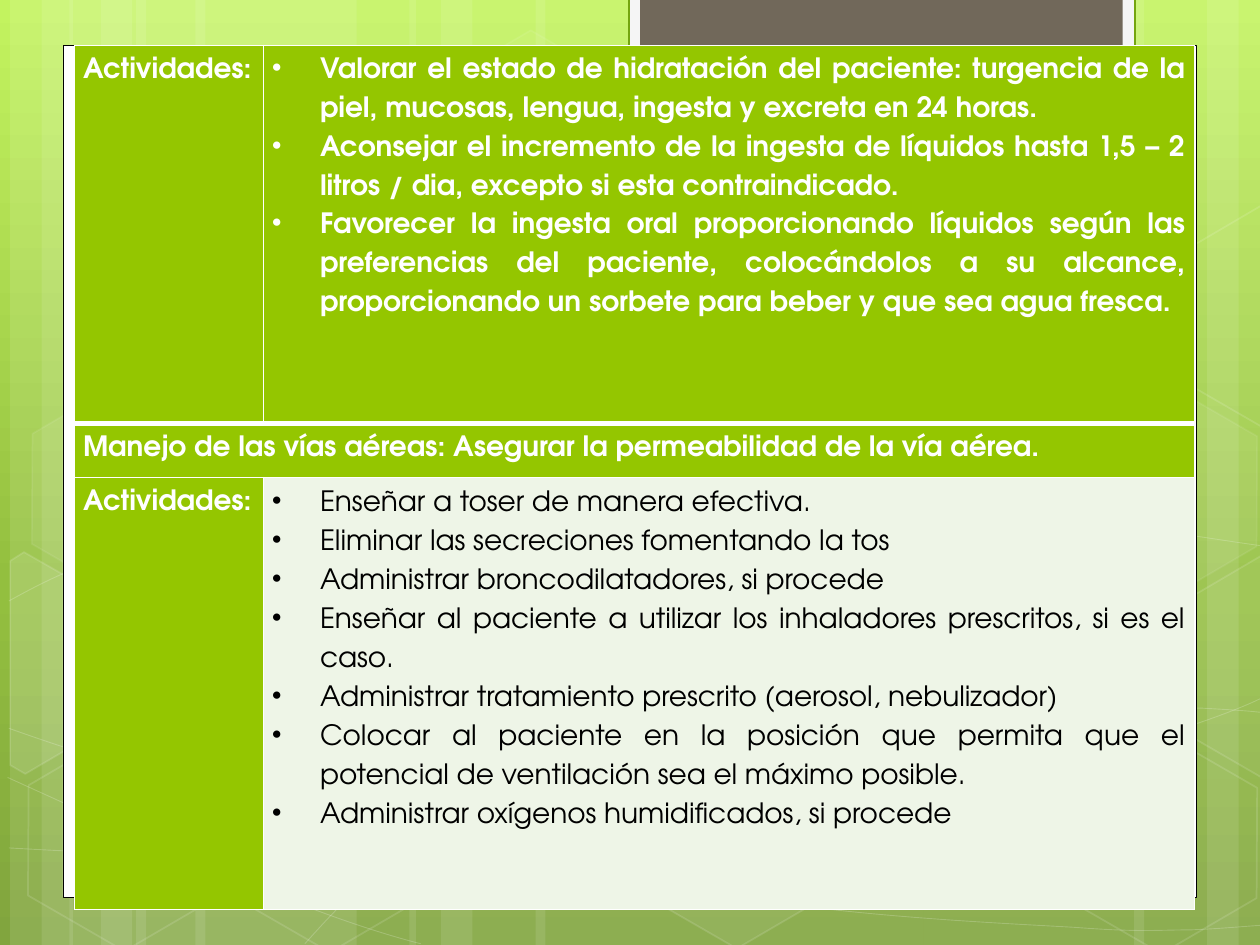
"""Build a slide with a nursing activities table on a green hexagon backdrop."""
from math import cos, radians, sin

from lxml.etree import SubElement
from pptx import Presentation
from pptx.dml.color import RGBColor
from pptx.enum.shapes import MSO_SHAPE
from pptx.enum.text import PP_ALIGN
from pptx.oxml.ns import qn
from pptx.util import Inches, Pt

WHITE = RGBColor(0xFF, 0xFF, 0xFF)
BLACK = RGBColor(0, 0, 0)
GREEN = RGBColor(0x94, 0xC6, 0x00)
PALE = RGBColor(0xEE, 0xF5, 0xE7)
OFF_WHITE = RGBColor(0xF5, 0xF5, 0xF5)
DARK_GREEN = RGBColor(0x74, 0xA5, 0x10)
BROWN = RGBColor(0x71, 0x68, 0x5A)
GRADIENT = [(0, RGBColor(0xC3, 0xF3, 0x5F)), (62, RGBColor(0x93, 0xBF, 0x3F)),
            (100, RGBColor(0x81, 0xA5, 0x3E))]
FONT = "TeX Gyre Adventor"

HYDRATION = [
    "Valorar el estado de hidratación del paciente: turgencia de la piel, mucosas, lengua, "
    "ingesta y excreta en 24 horas.",
    "Aconsejar el incremento de la ingesta de líquidos hasta 1,5 – 2 litros / dia, excepto si "
    "esta contraindicado.",
    "Favorecer la ingesta oral proporcionando líquidos según las preferencias del paciente, "
    "colocándolos a su alcance, proporcionando un sorbete para beber y que sea agua fresca.",
]
AIRWAY_TITLE = "Manejo de las vías aéreas: Asegurar la permeabilidad de la vía aérea."
AIRWAY = [
    "Enseñar a toser de manera efectiva.",
    "Eliminar las secreciones fomentando la tos",
    "Administrar broncodilatadores, si procede",
    "Enseñar al paciente a utilizar los inhaladores prescritos, si es el caso.",
    "Administrar tratamiento prescrito (aerosol, nebulizador)",
    "Colocar al paciente en la posición que permita que el potencial de ventilación sea el "
    "máximo posible.",
    "Administrar oxígenos humidificados, si procede",
]
LABEL = ["Actividades:"]
ROWS = [(LABEL, HYDRATION), ([AIRWAY_TITLE], []), (LABEL, AIRWAY)]
ROW_HEIGHTS = [3, 0.43, 3.43]
COLUMN_WIDTHS = [1.5, 7.39]

STRIPES = [(1.08, 1.75, 0), (0.08, 0.5, 0), (0.33, 0.83, 0), (1.55, 1.75, 0),
           (0.55, 0.5, 0), (0.8, 0.83, 0), (7.33, 1.75, 180), (9.58, 0.5, 180),
           (9, 0.83, 180), (4.25, 3.08, 0), (3.25, 0.5, 0), (3.5, 0.83, 0)]
CURVES = [
    [(0.07, 6.73), (0.61, 6.76), (1.15, 6.79), (1.9, 6.78), (2.65, 6.77), (3.58, 6.75),
     (4.58, 6.65), (5.58, 6.55), (7, 6.36), (7.92, 6.17), (8.83, 5.98), (9.77, 5.68),
     (10.07, 5.51)],
    [(0.07, 4.77), (0.36, 4.61), (0.65, 4.46), (1.21, 4.31), (1.78, 4.16), (2.59, 3.94),
     (3.47, 3.87), (4.36, 3.8), (5.44, 3.79), (6.54, 3.87), (7.64, 3.95), (9.47, 4.26),
     (10.07, 4.34)],
    [(0.06, 6.17), (1.27, 6.72), (2.47, 7.27), (3.34, 7.49)],
    [(0.07, 5.78), (0.38, 5.89), (0.7, 6), (1.28, 6.16), (1.86, 6.31), (2.73, 6.56),
     (3.57, 6.73), (4.4, 6.9), (5.45, 7.08), (6.28, 7.18), (7.11, 7.29), (8, 7.33),
     (8.53, 7.36), (9.05, 7.4), (9.19, 7.38), (9.45, 7.38), (9.71, 7.37), (9.89, 7.35),
     (10.07, 7.34)],
    [(2.42, 7.49), (2.6, 7.29), (2.78, 7.09), (3.02, 6.91), (3.26, 6.73), (3.6, 6.53),
     (3.88, 6.39), (4.16, 6.25), (4.33, 6.19), (4.7, 6.09), (5.06, 5.99), (5.73, 5.85),
     (6.08, 5.78), (6.44, 5.71), (6.49, 5.71), (6.8, 5.69), (7.11, 5.66), (7.6, 5.63),
     (7.94, 5.62), (8.29, 5.61), (8.86, 5.62), (8.86, 5.62), (9.08, 5.62), (9.31, 5.62),
     (9.53, 5.62), (9.71, 5.63), (9.88, 5.64), (9.97, 5.65), (10.06, 5.66), (10.03, 5.65),
     (10.06, 5.66)],
]
HEXAGONS = [(3.34, 0.36, 4, 8), (4.97, 5.89, 6, 12), (0.11, 5.91, None, 12),
            (0.14, 3.12, 7, 8), (1.74, 5.92, None, 12), (7.53, 4.53, 10, 12),
            (8.34, 5.93, None, 12), (8.34, 3.14, 7, 8)]
CUT_HEXAGONS = [
    ((0.36, 5.35), 10, [(0.08, 4.45), (0.19, 4.38), (0.96, 4.82), (0.95, 5.7), (0.2, 6.14),
                        (0.08, 6.07)]),
    ((9.85, 5.2), 4, [(9.26, 4.85), (10.01, 4.41), (10.09, 4.46), (10.09, 6.13),
                      (10.02, 6.17), (9.26, 5.73)]),
    ((9.85, 2.41), None, [(9.26, 2.07), (10.01, 1.63), (10.1, 1.68), (10.09, 3.35),
                          (10.02, 3.39), (9.26, 2.95)]),
]
PANELS = [((0.5, 0.36, 9, 6.76), WHITE, (BLACK, 0.5)),
          ((4.99, -0.02, 4.02, 0.76), OFF_WHITE, (DARK_GREEN, 1.25)),
          ((5.08, -0.02, 3.83, 0.68), BROWN, None)]
TILT = 30


def paint(fill, color, alpha=100):
    """Fill with a colour at a percentage of opacity, or with nothing."""
    if color is None or alpha is None:
        fill.background()
        return
    fill.solid()
    fill.fore_color.rgb = color
    if alpha < 100:
        node = fill._xPr.find(".//" + qn("a:srgbClr"))
        SubElement(node, qn("a:alpha"), val=str(alpha * 1000))


def finish(shape, color, alpha=100, line=None, line_alpha=100, rotation=0):
    """Give a shape its fill, outline and rotation without a shadow."""
    shape.shadow.inherit = False
    shape.rotation = rotation
    paint(shape.fill, color, alpha)
    line_color, width = line or (None, 0)
    paint(shape.line.fill, line_color, line_alpha)
    if line:
        shape.line.width = Pt(width)


def add_outline(shapes, points, close):
    corners = [(Inches(x), Inches(y)) for x, y in points]
    builder = shapes.build_freeform(*corners[0])
    builder.add_line_segments(corners[1:], close=close)
    return builder.convert_to_shape()


def add_curve(shapes, controls):
    """Draw the controls as a chain of cubic curves."""
    curve = add_outline(shapes, controls, False)
    outline = curve._element.find(".//" + qn("a:path"))
    segments = outline.findall(qn("a:lnTo"))
    for start in range(0, len(segments), 3):
        cubic = SubElement(outline, qn("a:cubicBezTo"))
        for segment in segments[start:start + 3]:
            cubic.append(segment[0])
            outline.remove(segment)
    return curve


def turn_back(points, center):
    """Rotate points by minus the tilt around a center."""
    cx, cy = center
    c, s = cos(radians(TILT)), sin(radians(TILT))
    return [(cx + (x - cx) * c + (y - cy) * s, cy - (x - cx) * s + (y - cy) * c)
            for x, y in points]


def draw_backdrop(slide):
    slide.background.fill.gradient()
    gradient = slide.background._cSld.find(".//" + qn("a:gradFill"))
    for child in list(gradient):
        gradient.remove(child)
    stops = SubElement(gradient, qn("a:gsLst"))
    for position, color in GRADIENT:
        stop = SubElement(stops, qn("a:gs"), pos=str(position * 1000))
        SubElement(stop, qn("a:srgbClr"), val=str(color))
    SubElement(gradient, qn("a:lin"), ang="5400000", scaled="0")

    shapes = slide.shapes
    for left, width, rotation in STRIPES:
        stripe = shapes.add_shape(MSO_SHAPE.RECTANGLE, Inches(left), 0, Inches(width), Inches(7.5))
        finish(stripe, WHITE, 10, rotation=rotation)
    for controls in CURVES:
        finish(add_curve(shapes, controls), None, line=(WHITE, 0.5), line_alpha=20)
    for left, top, alpha, line_alpha in HEXAGONS:
        hexagon = shapes.add_shape(MSO_SHAPE.HEXAGON, *map(Inches, (left, top, 1.75, 1.52)))
        hexagon.adjustments[0] = 0.285
        finish(hexagon, WHITE, alpha, (WHITE, 1), line_alpha, TILT)
    for center, alpha, points in CUT_HEXAGONS:
        cut = add_outline(shapes, turn_back(points, center), True)
        finish(cut, WHITE, alpha, (WHITE, 1), 12, TILT)
    for box, color, line in PANELS:
        finish(shapes.add_shape(MSO_SHAPE.RECTANGLE, *map(Inches, box)), color, line=line)


def fill_cell(cell, texts, bulleted, plain, bottom):
    margins = {"margin_left": 0.07, "margin_right": 0.07, "margin_top": 0, "margin_bottom": 0}
    for name, value in margins.items():
        setattr(cell, name, Inches(value))
    properties = cell._tc.get_or_add_tcPr()
    for side, width in {"L": 1, "R": 1, "T": 1, "B": bottom}.items():
        border = SubElement(properties, qn("a:ln" + side), w=str(Pt(width)))
        SubElement(SubElement(border, qn("a:solidFill")), qn("a:srgbClr"), val=str(WHITE))
    paint(cell.fill, PALE if plain else GREEN)
    style = {"name": FONT, "size": Pt(16), "bold": not plain}
    for index, text in enumerate(texts):
        frame = cell.text_frame
        paragraph = frame.add_paragraph() if index else frame.paragraphs[0]
        paragraph.alignment = PP_ALIGN.JUSTIFY
        paragraph.line_spacing = 1.5
        if bulleted:
            bullet = paragraph._p.get_or_add_pPr()
            bullet.set("marL", str(Inches(0.38)))
            bullet.set("indent", str(Inches(-0.38)))
            SubElement(bullet, qn("a:buFont"), typeface="Symbol")
            SubElement(bullet, qn("a:buChar"), char="•")
        run = paragraph.add_run()
        run.text = text
        for name, value in style.items():
            setattr(run.font, name, value)
        run.font.color.rgb = BLACK if plain else WHITE


def draw_activities(slide):
    box = map(Inches, (0.59, 0.36, sum(COLUMN_WIDTHS), sum(ROW_HEIGHTS)))
    activities = slide.shapes.add_table(len(ROWS), len(COLUMN_WIDTHS), *box).table
    for column, width in zip(activities.columns, COLUMN_WIDTHS):
        column.width = Inches(width)
    for r, (row, height) in enumerate(zip(ROWS, ROW_HEIGHTS)):
        activities.rows[r].height = Inches(height)
        for c, texts in enumerate(row):
            fill_cell(activities.cell(r, c), texts, c == 1, (r, c) == (2, 1), 1 if r else 3)
    activities.cell(1, 0).merge(activities.cell(1, 1))


def main():
    deck = Presentation()
    deck.slide_width, deck.slide_height = Inches(10), Inches(7.5)
    slide = deck.slides.add_slide(deck.slide_layouts[6])
    draw_backdrop(slide)
    draw_activities(slide)
    deck.save("out.pptx")


if __name__ == "__main__":
    main()
